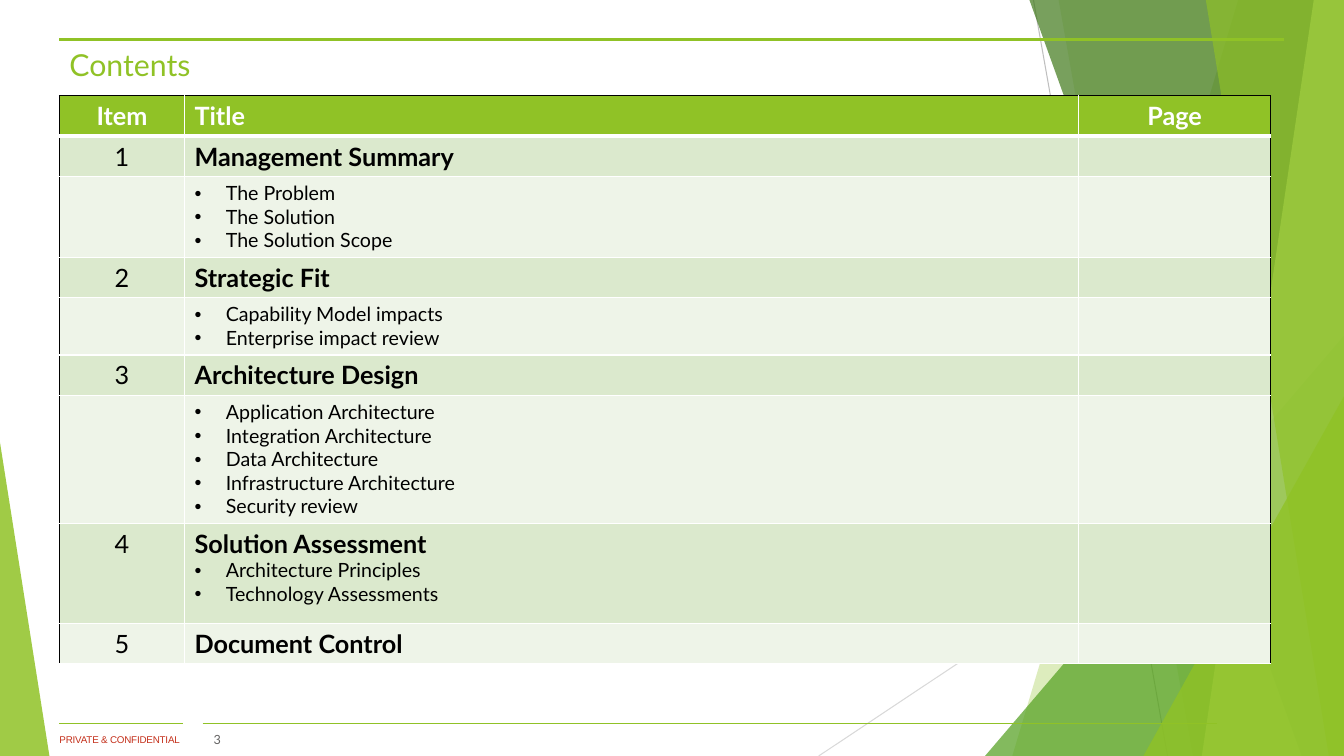
from lxml.etree import SubElement
from pptx import Presentation
from pptx.dml.color import RGBColor
from pptx.enum.shapes import MSO_CONNECTOR, MSO_SHAPE
from pptx.enum.text import MSO_ANCHOR as Anchor, PP_ALIGN as Align
from pptx.oxml.ns import qn
from pptx.util import Inches, Pt

COLORS = {
    "green": "90C226", "leaf": "54A021", "forest": "3F7819", "lime": "C0E474",
    "silver": "BFBFBF", "mist": "D9D9D9", "red": "C42F1A", "grey": "646363",
    "black": "000000", "white": "FFFFFF", "band": "DBE9CD", "pale": "EEF4E8",
}
CELL = Inches(0.1)
WIDE, HIGH = 133.3, 75

deck = Presentation()
deck.slide_width, deck.slide_height = int(WIDE * CELL), HIGH * CELL
page = deck.slides.add_slide(deck.slide_layouts[6])


def grid(*lengths):
    return [round(length * CELL) for length in lengths]


def draw_line(x1, y1, x2, y2, color, weight):
    line = page.shapes.add_connector(MSO_CONNECTOR.STRAIGHT, *grid(x1, y1, x2, y2))
    line.line.color.rgb = RGBColor.from_string(COLORS[color])
    line.line.width = Pt(weight)
    SubElement(line._element.spPr, qn("a:effectLst"))


draw_line(102.5, 0, 115.8, HIGH, "silver", 0.75)
draw_line(WIDE, 40.3, 81.2, HIGH, "mist", 0.75)

facets = [
    ("band", (122.8, 100.4), "green", 30),
    ("band", (105, 118.3), "green", 20),
    ("triangle", (97.7, 33.3, 35.6, 1), "leaf", 72),
    ("band", (102.1, 129.1), "forest", 70),
    ("band", (130.3, 119.2), "lime", 70),
    ("band", (119.6, 131.8), "green", 65),
    ("triangle", (113.4, 39.3, 19.9, 1), "green", 80),
    ("triangle", (0, 43.9, 4.9, 0), "green", 85),
]
for kind, place, color, opacity in facets:
    if kind == "band":
        top_left, bottom_left = place
        outline = page.shapes.build_freeform(*grid(top_left, 0))
        corners = [(WIDE, 0), (WIDE, HIGH), (bottom_left, HIGH)]
        outline.add_line_segments([grid(*corner) for corner in corners], close=True)
        facet = outline.convert_to_shape()
    else:
        left, top, width, apex = place
        facet = page.shapes.add_shape(
            MSO_SHAPE.ISOSCELES_TRIANGLE, *grid(left, top, width, HIGH - top))
        facet.adjustments[0] = apex
    facet.shadow.inherit = False
    facet.line.fill.background()
    facet.fill.solid()
    facet.fill.fore_color.rgb = RGBColor.from_string(COLORS[color])
    tint = facet._element.spPr.find(qn("a:solidFill"))[0]
    SubElement(tint, qn("a:alpha"), val=str(opacity * 1000))

draw_line(5.9, 3.9, 127.4, 3.9, "green", 2)
draw_line(20.1, 71.8, 120.7, 71.8, "green", 0.5)
draw_line(5.9, 71.8, 18.2, 71.8, "green", 0.5)

labels = [
    ("PRIVATE & CONFIDENTIAL", (5.9, 72.8, 13, 1.2), 7, "Arial", "red", Align.LEFT, (0, 0), Anchor.TOP),
    ("Contents", (5.9, 4.1, 121.5, 3.7), 21.6, "Lato", "green", Align.LEFT, (1, 0.5), Anchor.TOP),
    ("3", (20.1, 72.8, 2.8, 1.2), 9, "Lato", "grey", Align.RIGHT, (1, 0), Anchor.MIDDLE),
]
for text, place, size, font, color, align, (side, edge), anchor in labels:
    box = page.shapes.add_textbox(*grid(*place))
    frame = box.text_frame
    frame.word_wrap = True
    frame.vertical_anchor = anchor
    frame.margin_left, frame.margin_right = grid(side, side)
    frame.margin_top, frame.margin_bottom = grid(edge, edge)
    frame.text = text
    para = frame.paragraphs[0]
    para.alignment = align
    span = para.runs[0]
    span.font.size, span.font.name = Pt(size), font
    span.font.color.rgb = RGBColor.from_string(COLORS[color])
    if font == "Arial":
        span._r.get_or_add_rPr().set("spc", "-10")

contents = [
    ("Item", "Title", [], "Page", 4),
    ("1", "Management Summary", [], "", 4),
    ("", "", ["The Problem", "The Solution", "The Solution Scope"], "", 8),
    ("2", "Strategic Fit", [], "", 4),
    ("", "", ["Capability Model impacts", "Enterprise impact review"], "", 5.7),
    ("3", "Architecture Design", [], "", 4),
    ("", "", ["Application Architecture", "Integration Architecture", "Data Architecture",
              "Infrastructure Architecture", "Security review"], "", 12.7),
    ("4", "Solution Assessment", ["Architecture Principles", "Technology Assessments"], "", 9.9),
    ("5", "Document Control", [], "", 4),
]
widths = [12.4, 88.7, 19]
total = sum(row[-1] for row in contents)
table = page.shapes.add_table(
    len(contents), len(widths), *grid(5.9, 9.5, sum(widths), total)).table
table.horz_banding = False
for column, width in zip(table.columns, grid(*widths)):
    column.width = width

for r, (item, title, topics, number, height) in enumerate(contents):
    table.rows[r].height = grid(height)[0]
    header = r == 0
    fill = "green" if header else "band" if r % 2 else "pale"
    headings = [title] if title else []
    for c, lines in enumerate([[item], headings + topics, [number]]):
        cell = table.cell(r, c)
        cell.text_frame.text = "\n".join(lines)
        for para in cell.text_frame.paragraphs:
            bullet = para.text in topics
            para.alignment = Align.LEFT if c == 1 else Align.CENTER
            if bullet:
                indent = grid(3.1)[0]
                props = para._p.get_or_add_pPr()
                props.set("marL", str(indent))
                props.set("indent", str(-indent))
                SubElement(props, qn("a:buFont"), typeface="Arial")
                SubElement(props, qn("a:buChar"), char="•")
            for span in para.runs:
                span.font.name = "Lato"
                span.font.size = Pt(14 if bullet else 18)
                span.font.bold = header or (c == 1 and not bullet)
                span.font.color.rgb = RGBColor.from_string(COLORS["white" if header else "black"])
        borders = [
            ("a:lnL", "black" if c == 0 else "white", 1),
            ("a:lnR", "black" if c == 2 else "white", 1),
            ("a:lnT", "black" if header else "white", 3 if r == 1 else 1),
            ("a:lnB", "white", 3 if header else 1),
        ]
        for side, color, weight in borders:
            edge = SubElement(cell._tc.get_or_add_tcPr(), qn(side), w=str(Pt(weight)))
            SubElement(SubElement(edge, qn("a:solidFill")), qn("a:srgbClr"), val=COLORS[color])
        cell.fill.solid()
        cell.fill.fore_color.rgb = RGBColor.from_string(COLORS[fill])

deck.save("out.pptx")
